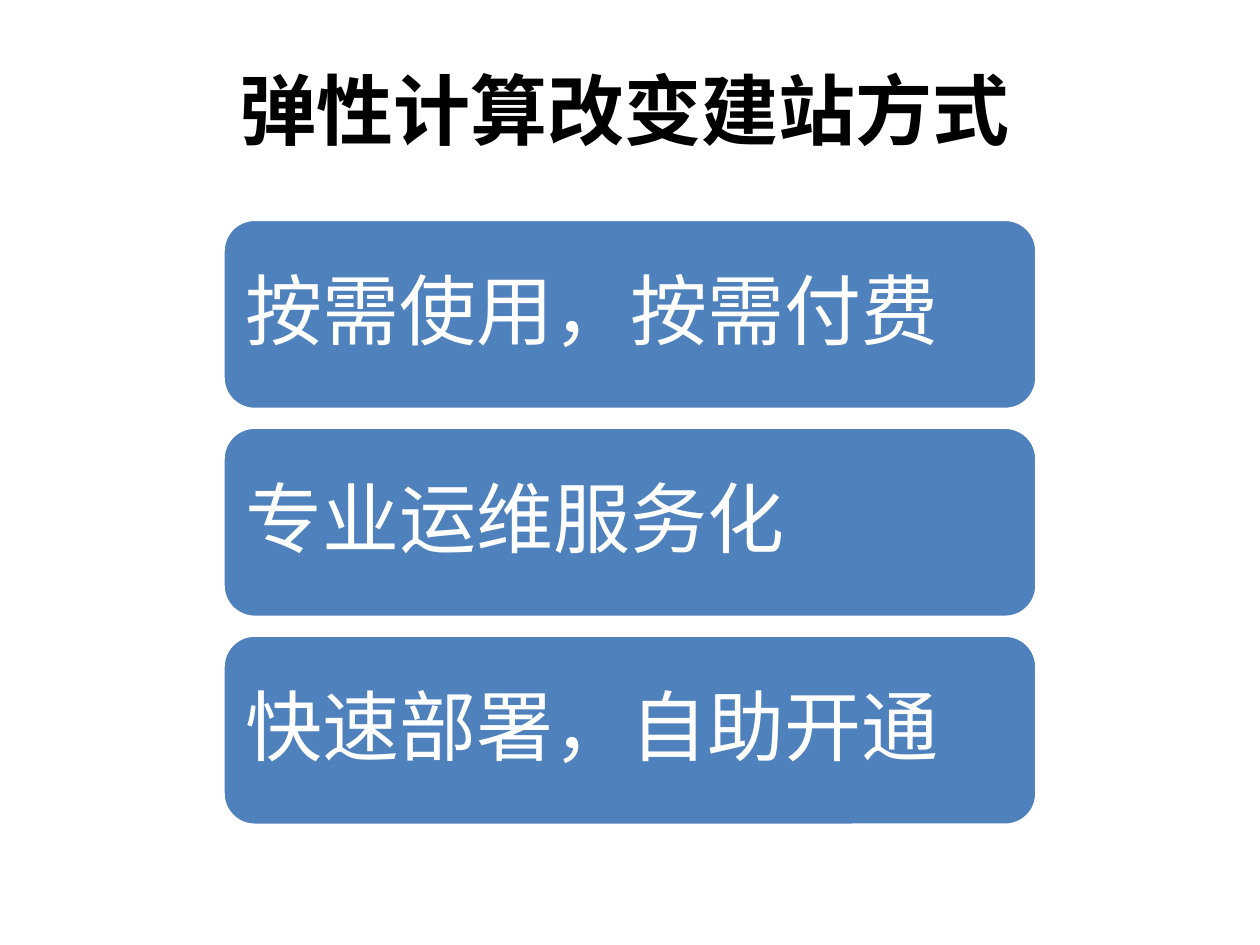
from dataclasses import dataclass
from lxml.etree import SubElement
from pptx import Presentation
from pptx.dml.color import RGBColor
from pptx.enum.shapes import MSO_SHAPE
from pptx.enum.text import MSO_ANCHOR, MSO_AUTO_SIZE, PP_ALIGN
from pptx.oxml.ns import qn
from pptx.util import Pt


@dataclass(frozen=True)
class Theme:
    font: str = "Noto Sans CJK SC"
    size: float = 44
    ink: str = "000000"
    paper: str = "FFFFFF"
    card: str = "4F81BD"


THEME = Theme()


def put_text(tf, text, color, bold=False, align=PP_ALIGN.LEFT, inset=0, spacing=1, after=0):
    tf.word_wrap = True
    tf.auto_size = MSO_AUTO_SIZE.NONE
    tf.vertical_anchor = MSO_ANCHOR.MIDDLE
    tf.margin_left = tf.margin_right = tf.margin_top = tf.margin_bottom = Pt(inset)
    p = tf.paragraphs[0]
    p.alignment = align
    p.line_spacing = spacing
    p.space_before = Pt(0)
    p.space_after = Pt(after)
    r = p.add_run()
    r.text = text
    r.font.size = Pt(THEME.size)
    r.font.bold = bold
    r.font.color.rgb = RGBColor.from_string(color)
    r.font.name = THEME.font
    SubElement(r.font._element, qn("a:ea")).set("typeface", THEME.font)


def add_title(s, text, left, top, width, height):
    sp = s.shapes.title
    sp.left, sp.top, sp.width, sp.height = Pt(left), Pt(top), Pt(width), Pt(height)
    put_text(sp.text_frame, text, THEME.ink, bold=True, align=PP_ALIGN.CENTER)


def add_cards(s, items, left, top, width, height, gap):
    card_h = (height - gap * (len(items) - 1)) / len(items)
    for i, text in enumerate(items):
        y = top + i * (card_h + gap)
        sp = s.shapes.add_shape(MSO_SHAPE.ROUNDED_RECTANGLE, Pt(left), Pt(y), Pt(width), Pt(card_h))
        sp.shadow.inherit = False
        sp.fill.solid()
        sp.fill.fore_color.rgb = RGBColor.from_string(THEME.card)
        sp.line.color.rgb = RGBColor.from_string(THEME.paper)
        sp.line.width = Pt(2)
        put_text(sp.text_frame, text, THEME.paper, inset=7.7, spacing=0.9, after=15.4)


prs = Presentation()
prs.slide_width, prs.slide_height = Pt(720), Pt(540)
s = prs.slides.add_slide(prs.slide_layouts[5])
add_title(s, "弹性计算改变建站方式", 127.44, 31.7, 459.4, 60.5)
add_cards(s, ["按需使用，按需付费", "专业运维服务化", "快速部署，自助开通"],
          127.44, 125.3, 465.1, 346.3, 10.1)
prs.save("out.pptx")
